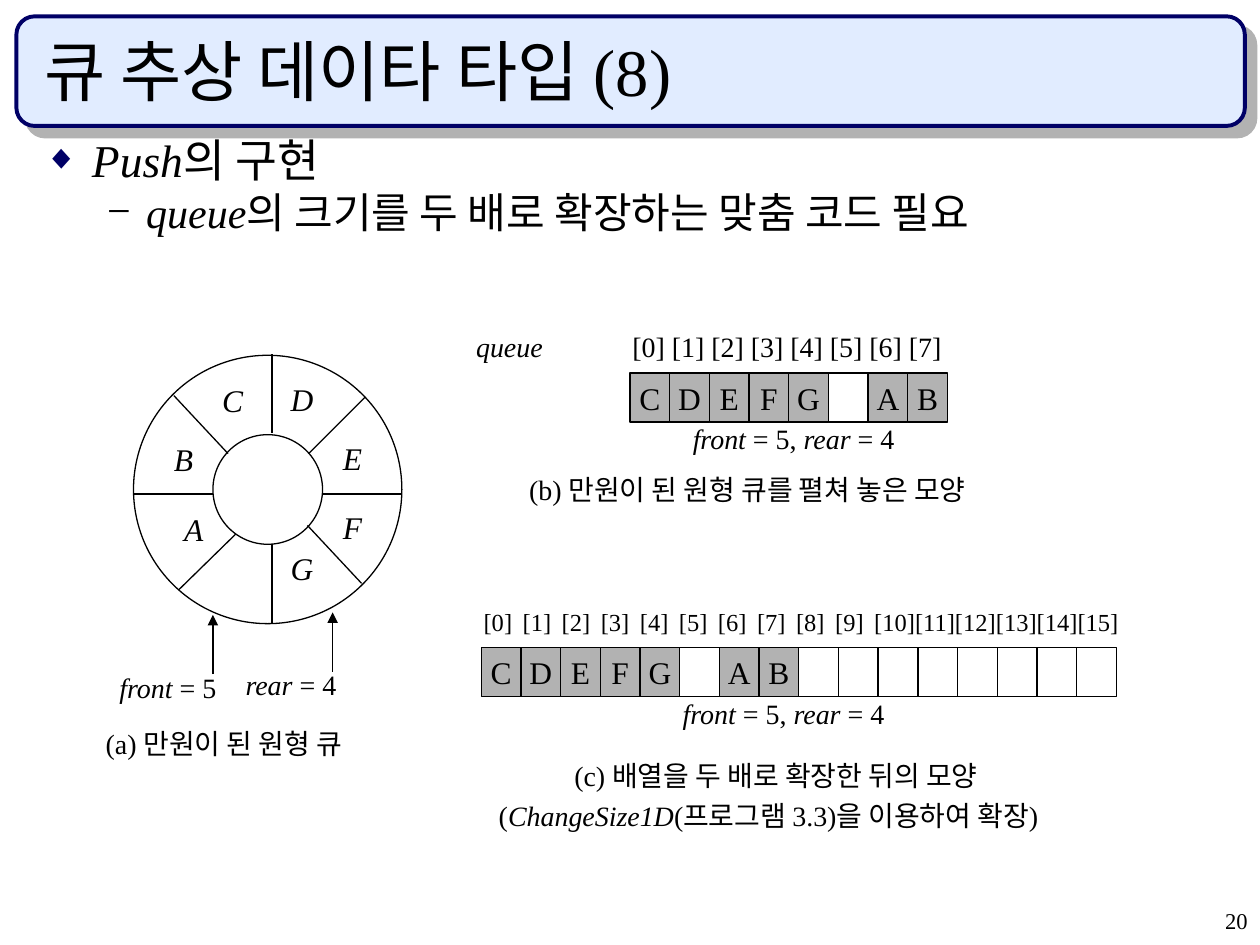
from lxml import etree
from pptx import Presentation
from pptx.dml.color import RGBColor
from pptx.enum.shapes import MSO_CONNECTOR, MSO_SHAPE
from pptx.enum.text import MSO_ANCHOR, MSO_AUTO_SIZE, PP_ALIGN
from pptx.oxml.ns import qn
from pptx.util import Inches, Pt

BLACK = RGBColor(0x00, 0x00, 0x00)
NAVY = RGBColor(0x00, 0x00, 0x66)
PALE = RGBColor(0xE1, 0xEC, 0xFF)
GRAY = RGBColor(0xB2, 0xB2, 0xB2)
FONT = "Times New Roman"
LEFT, CENTER, RIGHT = PP_ALIGN.LEFT, PP_ALIGN.CENTER, PP_ALIGN.RIGHT
TOP, MIDDLE, BOTTOM = MSO_ANCHOR.TOP, MSO_ANCHOR.MIDDLE, MSO_ANCHOR.BOTTOM
CELL_W, CELL_H = 0.315, 0.39


def write(sp, runs, size, align=LEFT, before=4, new=False):
    tf = sp.text_frame
    p = tf.add_paragraph() if new else tf.paragraphs[0]
    p.alignment = align
    p.space_before = Pt(before)
    p.font.size, p.font.name = Pt(size), FONT
    p.font.color.rgb = BLACK
    for text, italic in runs:
        r = p.add_run()
        r.text = text
        r.font.italic = italic
    return p


def add_line(x1, y1, x2, y2):
    cn = s.shapes.add_connector(MSO_CONNECTOR.STRAIGHT, Inches(x1), Inches(y1), Inches(x2), Inches(y2))
    cn.line.color.rgb = BLACK
    cn.line.width = Pt(0.75)
    etree.SubElement(cn._element.spPr, qn("a:effectLst"))
    return cn


prs = Presentation()
prs.slide_width, prs.slide_height = Inches(10), Inches(7.5)
s = prs.slides.add_slide(prs.slide_layouts[1])
title, body = s.shapes.title, s.placeholders[1]

banner = s.shapes.add_shape(MSO_SHAPE.ROUNDED_RECTANGLE, Inches(0.13), Inches(0.13), Inches(9.75), Inches(0.87))
banner.fill.solid()
banner.fill.fore_color.rgb = PALE
banner.line.color.rgb = NAVY
banner.line.width = Pt(2.25)
banner.shadow.inherit = False
effects = banner._element.spPr.find(qn("a:effectLst"))
shadow = etree.SubElement(effects, qn("a:outerShdw"), dist=str(Pt(8.5)), dir=str(45 * 60000), algn="tl", rotWithShape="0")
etree.SubElement(shadow, qn("a:srgbClr"), val=str(GRAY))
s.shapes._spTree.insert(2, banner._element)

for sp, y, h, anchor in [(title, 0.25, 0.67, BOTTOM), (body, 1.08, 0.86, TOP)]:
    sp.left, sp.top, sp.width, sp.height = Inches(0.25), Inches(y), Inches(9.42), Inches(h)
    sp.text_frame.auto_size = MSO_AUTO_SIZE.NONE
    sp.text_frame.vertical_anchor = anchor
write(title, [("큐 추상 데이타 타입 (8)", False)], 38, before=0)

bullets = [
    ([("Push", True), ("의 구현", False)], 26, 6.5, 0.38, -0.38, "◆", NAVY, 75),
    ([("queue", True), ("의 크기를 두 배로 확장하는 맞춤 코드 필요", False)], 24, 6, 0.81, -0.31, "−", BLACK, 100),
]
for level, (runs, size, before, margin, indent, mark, color, percent) in enumerate(bullets):
    p = write(body, runs, size, before=before, new=level > 0)
    p.level = level
    p.line_spacing = 0.8
    pPr = p._p.get_or_add_pPr()
    pPr.set("marL", str(Inches(margin)))
    pPr.set("indent", str(Inches(indent)))
    clr = etree.Element(qn("a:buClr"))
    etree.SubElement(clr, qn("a:srgbClr"), val=str(color))
    marks = [clr, etree.Element(qn("a:buSzPct"), val=str(percent * 1000)),
             etree.Element(qn("a:buFont"), typeface=FONT), etree.Element(qn("a:buChar"), char=mark)]
    for mark_el in marks:
        pPr.find(qn("a:defRPr")).addprevious(mark_el)

for x, y, d in [(1.06, 2.82, 2.13), (1.69, 3.45, 0.87)]:
    ring = s.shapes.add_shape(MSO_SHAPE.OVAL, Inches(x), Inches(y), Inches(d), Inches(d))
    ring.fill.background()
    ring.line.color.rgb = BLACK
    ring.line.width = Pt(0.75)
    ring.shadow.inherit = False

spokes = [
    (2.16, 2.81, 2.16, 3.44), (2.16, 4.32, 2.16, 4.95), (1.06, 3.92, 1.69, 3.92), (2.56, 3.92, 3.19, 3.92),
    (1.87, 4.24, 1.42, 4.68), (1.38, 3.14, 1.81, 3.6), (2.44, 4.17, 2.87, 4.63), (2.9, 3.15, 2.45, 3.6),
]
for spoke in spokes:
    add_line(*spoke)
for x, y in [(1.69, 5.35), (2.64, 5.33)]:
    arrow = add_line(x, y, x, y - 0.47)
    etree.SubElement(arrow.line._get_or_add_ln(), qn("a:tailEnd"), type="triangle")

ring_letters = [("A", 1.38, 4), ("B", 1.3, 3.45), ("C", 1.69, 2.98), ("D", 2.24, 2.97),
                ("E", 2.64, 3.44), ("F", 2.64, 3.99), ("G", 2.24, 4.31)]
cells = [(letter, x0 + i * CELL_W, y)
         for x0, y, letters in [(5, 2.96, "CDEFG AB"), (3.82, 5.14, "CDEFG AB        ")]
         for i, letter in enumerate(letters)]
for letter, x, y in ring_letters + cells:
    sp = s.shapes.add_shape(MSO_SHAPE.RECTANGLE, Inches(x), Inches(y), Inches(CELL_W), Inches(CELL_H))
    sp.shadow.inherit = False
    sp.fill.background()
    sp.line.fill.background()
    in_ring = (letter, x, y) in ring_letters
    if not in_ring:
        sp.line.color.rgb = BLACK
        sp.line.width = Pt(0.75)
    if letter != " ":
        if not in_ring:
            sp.fill.solid()
            sp.fill.fore_color.rgb = GRAY
        tf = sp.text_frame
        tf.margin_left = tf.margin_right = 0
        tf.vertical_anchor = MIDDLE
        write(sp, [(letter, in_ring)], 18, CENTER, 4.5)

front_rear = [("front", True), (" = 5, ", False), ("rear", True), (" = 4", False)]
indexes = [f"[{i}]" for i in range(16)]
labels = [
    (0.85, 5.27, 1.73, [("front", True), (" = 5", False)], 16),
    (1.85, 5.25, 1.68, [("rear", True), (" = 4", False)], 16),
    (4.92, 2.57, 3.07, [(" ".join(indexes[:8]), False)], 16),
    (3.68, 2.57, 1.48, [("queue", True)], 16),
    (5.4, 3.3, 1.84, front_rear, 16),
    (3.74, 4.77, 5.83, [("\t".join(indexes[:11]) + "".join(indexes[11:]), False)], 14),
    (5.32, 5.48, 1.84, front_rear, 16),
    (0.74, 5.72, 2.86, [("(a) 만원이 된 원형 큐", False)], 16),
    (4.1, 3.7, 4.55, [("(b) 만원이 된 원형 큐를 펼쳐 놓은 모양", False)], 16),
    (3.86, 5.97, 5.32, [("(c) 배열을 두 배로 확장한 뒤의 모양", False)], 16),
    (7.92, 7.17, 2.08, [("20", False)], 12.9),
]
for x, y, w, runs, size in labels:
    sp = s.shapes.add_textbox(Inches(x), Inches(y), Inches(w), Inches(0.37))
    sp.text_frame.word_wrap = True
    p = write(sp, runs, size)
    text = runs[0][0]
    if "\t" in text:
        tabs = etree.Element(qn("a:tabLst"))
        for i in range(1, 11):
            etree.SubElement(tabs, qn("a:tab"), pos=str(Inches(0.31 * i)), algn="l")
        p._p.pPr.find(qn("a:defRPr")).addprevious(tabs)
    elif text.startswith("(c)"):
        sp.height = Inches(0.69)
        p._p.pPr.set("marL", str(Inches(0.6)))
        write(sp, [("(", False), ("ChangeSize1D", True), ("(프로그램 3.3)을 이용하여 확장)", False)], size, new=True)
    elif text == "20":
        p.alignment = RIGHT
        p.space_before = Pt(8.8)
        p.line_spacing = 0.9

prs.save("out.pptx")
